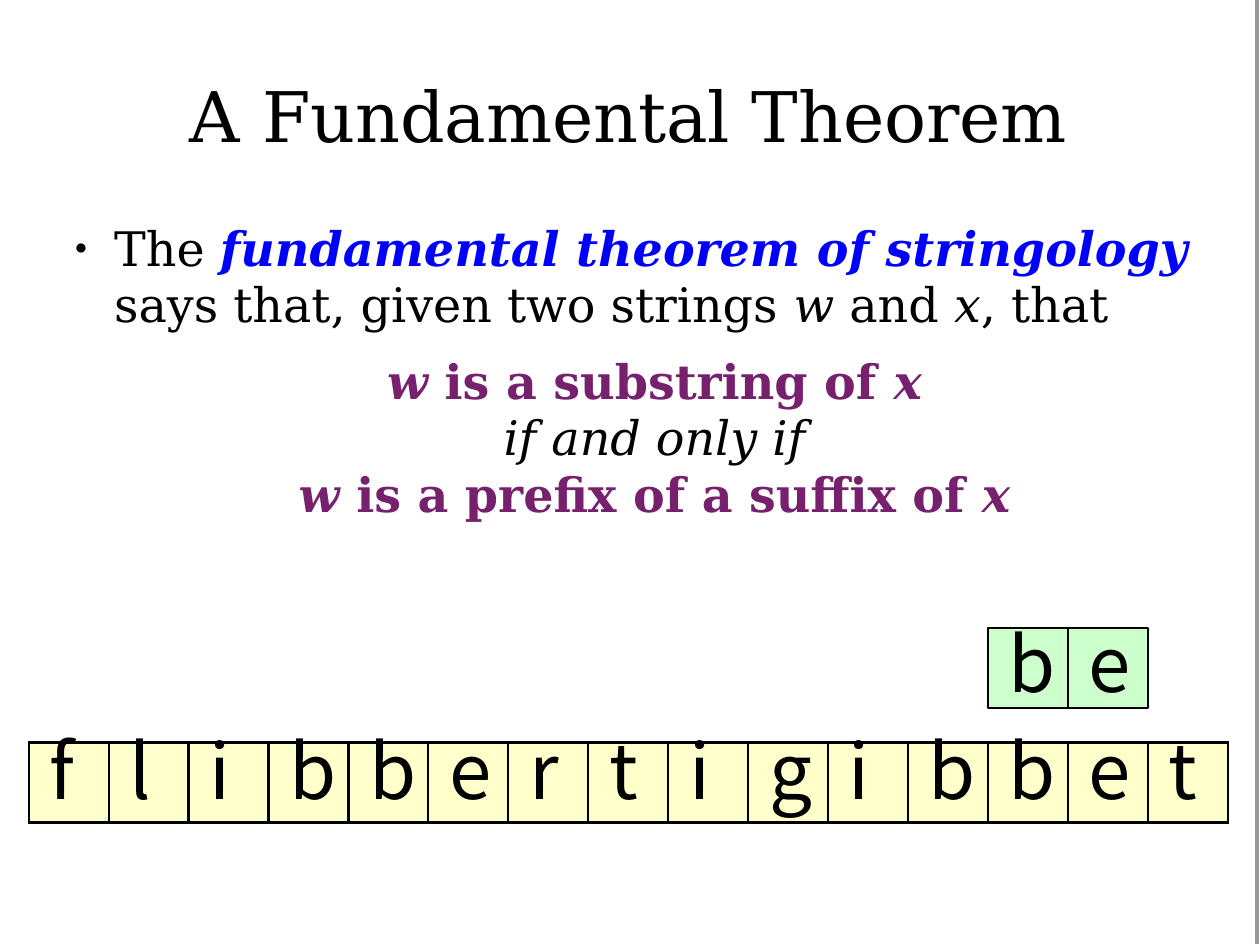
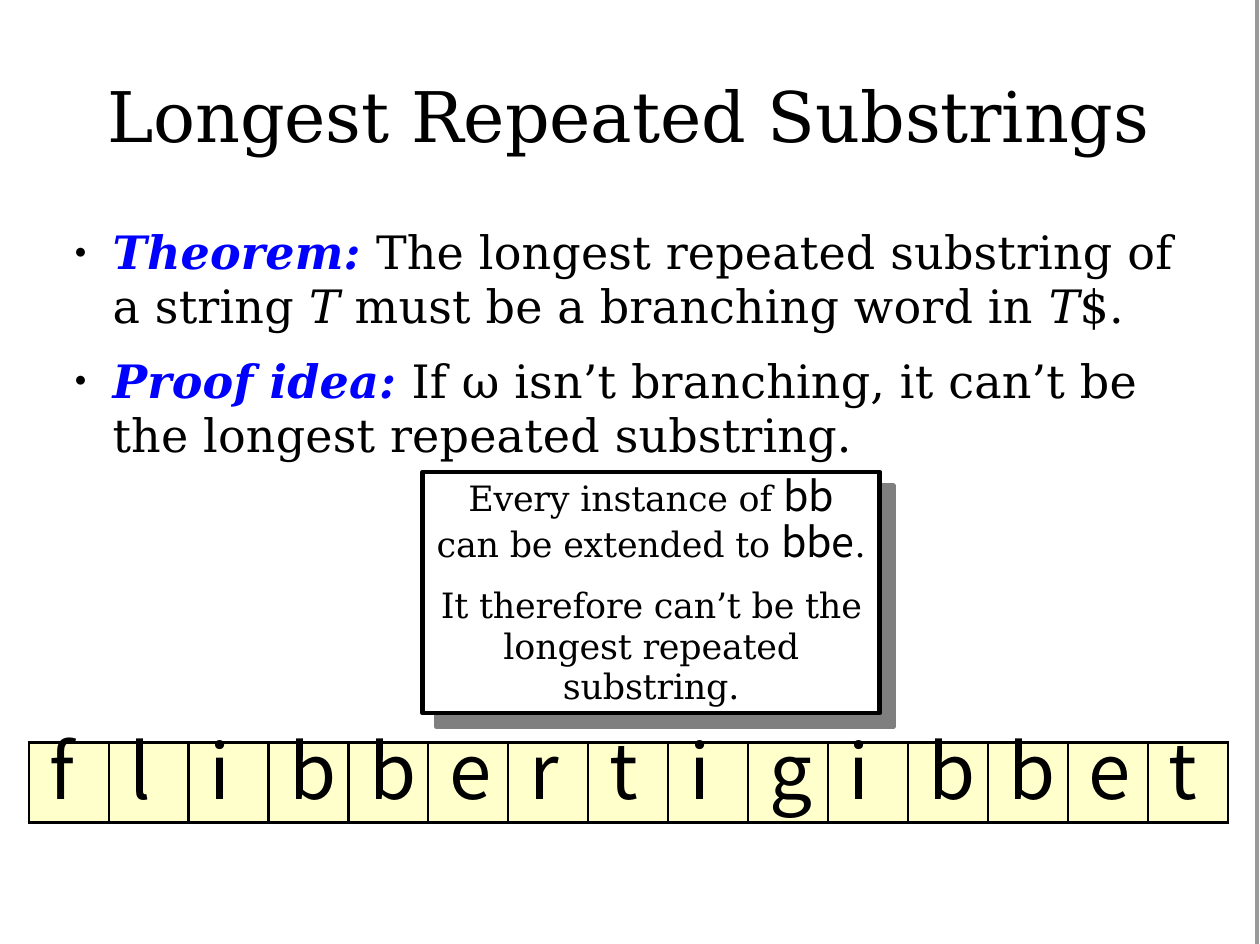
"""Build two slides on substrings and branching words."""
import lxml.etree
import pptx
import pptx.dml.color
import pptx.enum.shapes
import pptx.enum.text
import pptx.oxml.ns
import pptx.util

Pt = pptx.util.Pt
qn = pptx.oxml.ns.qn
ALIGN = pptx.enum.text.PP_ALIGN
RECTANGLE = pptx.enum.shapes.MSO_SHAPE.RECTANGLE

COLORS = {
    "ink": "000000", "paper": "FFFFFF", "edge": "999999", "shade": "7F7F7F",
    "term": "0000FF", "claim": "76206E", "text cell": "FFFFCC", "match cell": "CCFFCC",
}
SERIF, LETTER_FACE = "DejaVu Serif", "Noto Sans CJK SC"
STYLES = {
    "plain": {},
    "variable": {"italic": True},
    "term": {"bold": True, "italic": True, "color": "term"},
    "claim": {"bold": True, "color": "claim"},
    "claim variable": {"bold": True, "italic": True, "color": "claim"},
    "letters": {"name": LETTER_FACE, "size": Pt(26)},
}
WIDTH, HEIGHT = 794, 595
CELL = 50.4
WORD = "flibbertigibbet"
WORD_LEFT, WORD_TOP = 18, 468
MATCH, MATCH_START, MATCH_TOP = "be", 12, 396


def rgb(key):
    """Return the named colour."""
    return pptx.dml.color.RGBColor.from_string(COLORS[key])


def style_font(font, color=None, **settings):
    """Apply font settings and a named colour."""
    for setting, value in settings.items():
        setattr(font, setting, value)
    if color:
        font.color.rgb = rgb(color)


def add_bullet(properties):
    """Give paragraph properties a small round black bullet."""
    color = lxml.etree.SubElement(properties, qn("a:buClr"))
    lxml.etree.SubElement(color, qn("a:srgbClr"), val=COLORS["ink"])
    lxml.etree.SubElement(properties, qn("a:buSzPct"), val="45000")
    lxml.etree.SubElement(properties, qn("a:buFont"), typeface="Arial")
    lxml.etree.SubElement(properties, qn("a:buChar"), char="●")


def write_paragraph(paragraph, runs, size, line=None, before=0, margin=0, hang=0,
                    align=ALIGN.LEFT, face=SERIF, tracking=0):
    """Fill a paragraph with (text, style) runs."""
    properties = paragraph._p.get_or_add_pPr()
    properties.set("marL", str(Pt(margin)))
    properties.set("indent", str(-Pt(hang)))
    if hang:
        add_bullet(properties)
    paragraph.alignment = align
    if line:
        paragraph.line_spacing = Pt(line)
    if before:
        paragraph.space_before = Pt(before)
    style_font(paragraph.font, "ink", name=face, size=Pt(size))
    properties.find(qn("a:defRPr")).set("spc", str(round(tracking * 100)))
    for text, style in runs:
        run = paragraph.add_run()
        run.text = text
        if STYLES[style]:
            style_font(run.font, **STYLES[style])


def prepare_frame(frame, top=0):
    """Set wrapping, top anchoring and insets, and return the frame."""
    frame.word_wrap = True
    frame.vertical_anchor = pptx.enum.text.MSO_ANCHOR.TOP
    frame.margin_left = frame.margin_right = frame.margin_bottom = 0
    frame.margin_top = Pt(top)
    return frame


def write_paragraphs(frame, paragraphs, **shared):
    """Write (runs, settings) pairs with shared settings."""
    for index, (runs, settings) in enumerate(paragraphs):
        paragraph = frame.add_paragraph() if index else frame.paragraphs[0]
        write_paragraph(paragraph, runs, **{**shared, **settings})


def add_box(slide, left, top, width, height, fill, line, weight):
    """Add a flat rectangle."""
    box = slide.shapes.add_shape(RECTANGLE, Pt(left), Pt(top), Pt(width), Pt(height))
    box.shadow.inherit = False
    box.fill.solid()
    box.fill.fore_color.rgb = rgb(fill)
    box.line.color.rgb = rgb(line)
    box.line.width = Pt(weight)
    return box


def add_base(deck, title):
    """Add a slide with the right edge line and its title."""
    slide = deck.slides.add_slide(deck.slide_layouts[6])
    edge = slide.shapes.add_connector(
        pptx.enum.shapes.MSO_CONNECTOR.STRAIGHT, Pt(792), Pt(0), Pt(792), Pt(HEIGHT))
    edge.line.color.rgb = rgb("edge")
    edge.line.width = Pt(2.89)
    lxml.etree.SubElement(edge._element.spPr, qn("a:effectLst"))
    heading = slide.shapes.add_textbox(Pt(0), Pt(44), Pt(792), Pt(55))
    write_paragraphs(prepare_frame(heading.text_frame, 2), [([(title, "plain")], {})],
                     size=44, align=ALIGN.CENTER, tracking=-0.1)
    return slide


def add_body(slide, paragraphs, inset, **shared):
    """Add the main text below the title."""
    body = slide.shapes.add_textbox(Pt(42.5), Pt(136), Pt(712), Pt(190))
    write_paragraphs(prepare_frame(body.text_frame, inset), paragraphs, **shared)


def add_borders(cell):
    """Draw black lines on all four sides of a cell."""
    properties = cell._tc.get_or_add_tcPr()
    for index, side in enumerate(("lnL", "lnR", "lnT", "lnB")):
        border = lxml.etree.Element(qn(f"a:{side}"), w=str(Pt(1.5)))
        fill = lxml.etree.SubElement(border, qn("a:solidFill"))
        lxml.etree.SubElement(fill, qn("a:srgbClr"), val=COLORS["ink"])
        properties.insert(index, border)


def add_word(slide, left, top, word):
    """Add a one-row table with one letter in each cell."""
    table = slide.shapes.add_table(
        1, len(word), Pt(left), Pt(top), Pt(CELL * len(word)), Pt(CELL)).table
    table.first_row = table.horz_banding = False
    for column, letter in enumerate(word):
        table.columns[column].width = Pt(CELL)
        cell = table.cell(0, column)
        cell.margin_left = cell.margin_right = cell.margin_top = cell.margin_bottom = 0
        cell.fill.solid()
        cell.fill.fore_color.rgb = rgb("text cell")
        add_borders(cell)
        write_paragraph(cell.text_frame.paragraphs[0], [(letter, "plain")], 48,
                        line=49.4, margin=13, face=LETTER_FACE)


def add_match(slide, left, top, word):
    """Add a row of squares that spells the matched word."""
    for index, letter in enumerate(word):
        square = add_box(slide, left + index * CELL, top, CELL, CELL,
                         "match cell", "ink", 1.44)
        write_paragraph(prepare_frame(square.text_frame).paragraphs[0],
                        [(letter, "plain")], 48, line=CELL, margin=13, face=LETTER_FACE)


def add_callout(slide, left, top, width, height, paragraphs):
    """Add a framed remark with a solid offset shade."""
    offset = 8.6
    add_box(slide, left + offset, top + offset, width, height, "shade", "shade", 2.89)
    remark = add_box(slide, left, top, width, height, "paper", "ink", 2.89)
    write_paragraphs(prepare_frame(remark.text_frame, 1.2), paragraphs,
                     size=22, align=ALIGN.CENTER, tracking=-0.1)


def build_fundamental_theorem(deck):
    """Build the slide on substrings as prefixes of suffixes."""
    slide = add_base(deck, "A Fundamental Theorem")
    add_word(slide, WORD_LEFT, WORD_TOP, WORD)
    centered = {"align": ALIGN.CENTER, "margin": 28}
    add_body(slide, [
        ([("The ", "plain"), ("fundamental theorem of stringology", "term"),
          (" says that, given two strings ", "plain"), ("w", "variable"),
          (" and ", "plain"), ("x", "variable"), (", that", "plain")],
         {"margin": 29.5, "hang": 25}),
        ([("w", "claim variable"), (" is a substring of ", "claim"),
          ("x", "claim variable")], {**centered, "before": 12.8}),
        ([("if and only if", "variable")], centered),
        ([("w", "claim variable"), (" is a prefix of a suffix of ", "claim"),
          ("x", "claim variable")], centered),
    ], inset=2.5, size=30, line=35.5)
    add_match(slide, WORD_LEFT + MATCH_START * CELL, MATCH_TOP, MATCH)


def build_repeated_substrings(deck):
    """Build the slide on the longest repeated substring."""
    slide = add_base(deck, "Longest Repeated Substrings")
    add_word(slide, WORD_LEFT, WORD_TOP, WORD)
    add_callout(slide, 266.4, 297.5, 288, 152, [
        ([("Every instance of ", "plain"), ("bb", "letters")], {"line": 29}),
        ([("can be extended to ", "plain"), ("bbe", "letters"), (".", "plain")],
         {"line": 29}),
        ([("It therefore can’t be the longest repeated substring.", "plain")],
         {"line": 25.6, "before": 12.1}),
    ])
    add_body(slide, [
        ([("Theorem:", "term"), (" The longest repeated substring of a string ", "plain"),
          ("T", "variable"), (" must be a branching word in ", "plain"),
          ("T", "variable"), ("$.", "plain")], {}),
        ([("Proof idea:", "term"),
          (" If ω isn’t branching, it can’t be the longest repeated substring.", "plain")],
         {"before": 13}),
    ], inset=5.8, size=29, line=34, margin=28.5, hang=24, tracking=0.1)


def main():
    """Build and save the deck."""
    deck = pptx.Presentation()
    deck.slide_width, deck.slide_height = Pt(WIDTH), Pt(HEIGHT)
    build_fundamental_theorem(deck)
    build_repeated_substrings(deck)
    deck.save("out.pptx")


if __name__ == "__main__":
    main()
